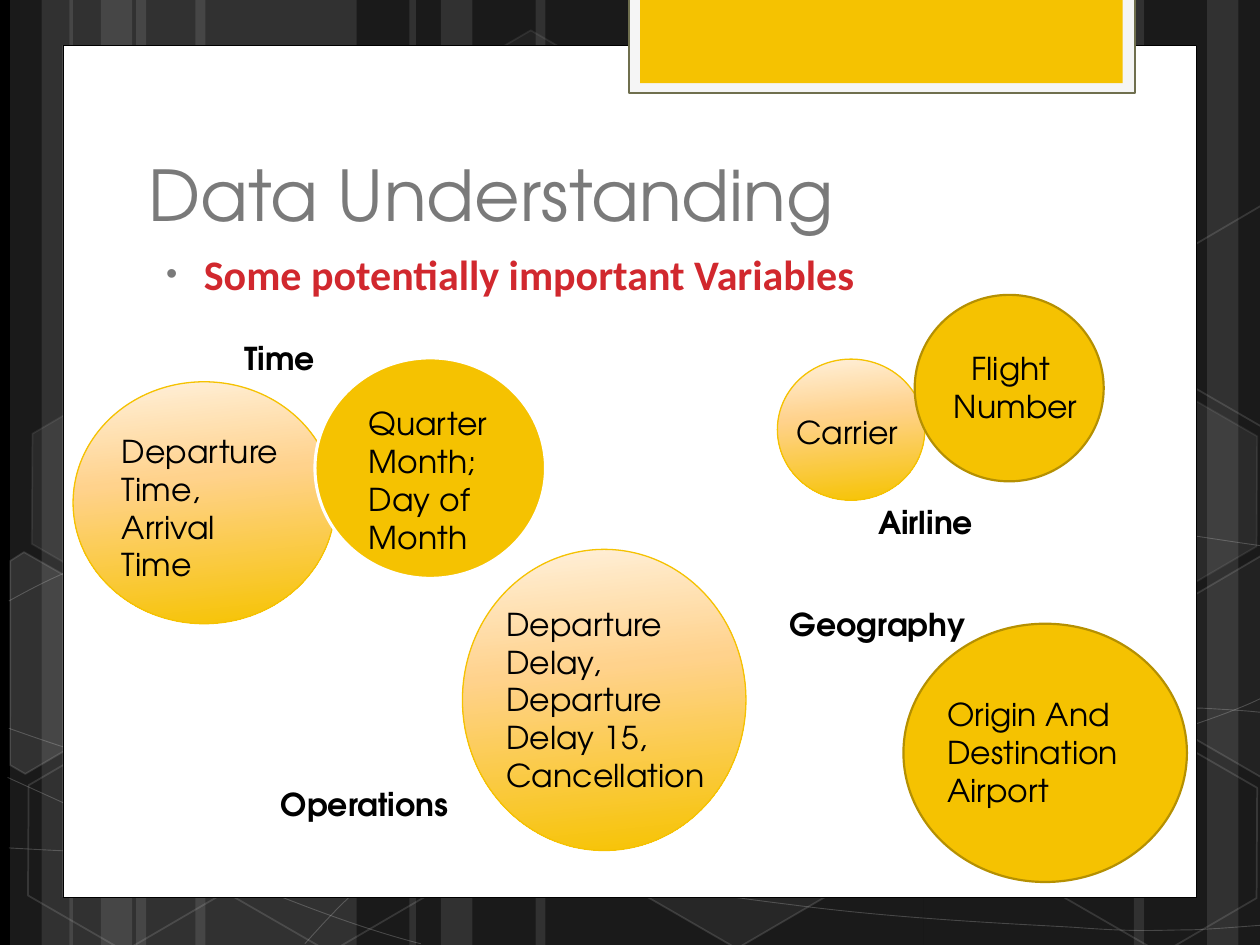
from copy import deepcopy
from math import cos, radians, sin
from lxml.etree import SubElement
from pptx import Presentation
from pptx.dml.color import RGBColor
from pptx.enum.shapes import MSO_SHAPE
from pptx.enum.text import MSO_ANCHOR
from pptx.oxml.ns import qn
from pptx.util import Inches, Pt

BLACK = RGBColor(0x00, 0x00, 0x00)
WHITE = RGBColor(0xFF, 0xFF, 0xFF)
PALE = RGBColor(0xF5, 0xF5, 0xF5)
OLIVE = RGBColor(0x6F, 0x6F, 0x4E)
GOLD = RGBColor(0xF5, 0xC2, 0x01)
BRONZE = RGBColor(0xB5, 0x90, 0x01)
GREY = RGBColor(0x7A, 0x7A, 0x7A)
RED = RGBColor(0xD1, 0x28, 0x2E)
CREAM = RGBColor(0xFF, 0xF1, 0xDC)
PEACH = RGBColor(0xFF, 0xD2, 0x8C)
AMBER = RGBColor(0xF6, 0xC3, 0x00)
FADE = [(0, CREAM), (0.4, PEACH), (1, AMBER)]

BANDS = [(1.08, 1.75), (0.08, 0.5), (0.33, 0.83), (1.55, 1.75),
         (0.55, 0.5), (0.8, 0.83), (7.33, 1.75), (9.58, 0.5),
         (9, 0.83), (4.25, 3.08), (3.25, 0.5), (3.5, 0.83)]

CURVES = [
    [(0.07, 6.73), (0.61, 6.76), (1.15, 6.79), (1.9, 6.78), (2.65, 6.77),
     (3.58, 6.75), (4.58, 6.65), (5.58, 6.55), (7, 6.36), (7.92, 6.17),
     (8.83, 5.98), (9.77, 5.68), (10.07, 5.51)],
    [(0.07, 4.77), (0.36, 4.61), (0.65, 4.46), (1.21, 4.31), (1.78, 4.16),
     (2.59, 3.94), (3.47, 3.87), (4.36, 3.8), (5.44, 3.79), (6.54, 3.87),
     (7.64, 3.95), (9.47, 4.26), (10.07, 4.34)],
    [(0.06, 6.17), (1.27, 6.72), (2.47, 7.27), (3.34, 7.49)],
    [(0.07, 5.78), (0.38, 5.89), (0.7, 6), (1.28, 6.16), (1.86, 6.31),
     (2.73, 6.56), (3.57, 6.73), (4.4, 6.9), (5.45, 7.08), (6.28, 7.18),
     (7.11, 7.29), (8, 7.33), (8.53, 7.36), (9.05, 7.4), (9.19, 7.38),
     (9.45, 7.38), (9.71, 7.37), (9.89, 7.35), (10.07, 7.34)],
    [(2.42, 7.49), (2.6, 7.29), (2.78, 7.09), (3.02, 6.91), (3.26, 6.73),
     (3.6, 6.53), (3.88, 6.39), (4.16, 6.25), (4.33, 6.19), (4.7, 6.09),
     (5.06, 5.99), (5.73, 5.85), (6.08, 5.78), (6.44, 5.71), (6.49, 5.71),
     (6.8, 5.69), (7.11, 5.66), (7.6, 5.63), (7.94, 5.62), (8.29, 5.61),
     (8.86, 5.62), (8.86, 5.62), (9.08, 5.62), (9.31, 5.62), (9.53, 5.62),
     (9.71, 5.63), (9.88, 5.64), (9.97, 5.65), (10.06, 5.66), (10.03, 5.65),
     (10.06, 5.66)],
]

HEXES = [(3.34, 0.36, 4, 8), (4.97, 5.89, 6, 12), (0.11, 5.91, 0, 12),
         (0.14, 3.12, 7, 8), (1.74, 5.92, 0, 12), (7.53, 4.53, 10, 12),
         (8.34, 5.93, 0, 12), (8.34, 3.14, 7, 8)]

CUTS = [
    ((0.36, 5.35), 10, [(0.08, 4.45), (0.19, 4.38), (0.96, 4.82),
                        (0.95, 5.7), (0.2, 6.14), (0.08, 6.07)]),
    ((9.85, 5.2), 4, [(9.26, 4.85), (10.01, 4.41), (10.09, 4.46),
                      (10.09, 6.13), (10.02, 6.17), (9.26, 5.73)]),
    ((9.85, 2.41), 0, [(9.26, 2.07), (10.01, 1.63), (10.1, 1.68),
                       (10.09, 3.35), (10.02, 3.39), (9.26, 2.95)]),
]

DISCS = [((0.58, 3.03, 2.08, 1.92), FADE, GOLD, 0.75),
         ((2.5, 2.84, 1.83, 1.75), GOLD, WHITE, 1.75),
         ((6.17, 2.85, 1.17, 1.12), FADE, GOLD, 0.75),
         ((7.26, 2.34, 1.5, 1.48), GOLD, BRONZE, 1.25),
         ((3.67, 4.36, 2.25, 2.39), FADE, GOLD, 0.75),
         ((7.17, 4.95, 2.25, 2.05), GOLD, BRONZE, 1.25)]

HEADS = [((1.84, 2.64, 1.25, 0.4), "Time"),
         ((6.87, 3.94, 1.42, 0.4), "Airline"),
         ((2.13, 6.18, 1.67, 0.4), "Operations"),
         ((6.17, 4.75, 1.8, 0.4), "Geography")]

NOTES = [((0.87, 3.38, 1.5, 1.31), "Departure Time,\nArrival Time", 0, 0),
         ((2.83, 3.16, 1.33, 1.31), "Quarter\nMonth;\nDay of Month", 0, 0),
         ((7.34, 2.72, 1.34, 0.71), "Flight Number", 0.13, 0.14),
         ((6.08, 3.23, 1.17, 0.4), "Carrier", 0, 0.14),
         ((3.92, 4.75, 1.92, 1.62),
          "Departure Delay, Departure Delay 15, Cancellation", 0, 0),
         ((7.42, 5.47, 1.75, 1.01), "Origin And Destination Airport", 0, 0)]


def turn(point, hub, angle):
    x, y = point[0] - hub[0], point[1] - hub[1]
    c, s = cos(radians(angle)), sin(radians(angle))
    return hub[0] + x * c - y * s, hub[1] + x * s + y * c


class Deck:
    font = "TeX Gyre Adventor"

    def __init__(self):
        self.file = Presentation()
        self.file.slide_width = Inches(10)
        self.file.slide_height = Inches(7.5)
        self.slide = self.file.slides.add_slide(self.file.slide_layouts[6])
        fill = self.slide.background.fill
        fill.solid()
        fill.fore_color.rgb = BLACK

    def tint(self, shape, fill, color, alpha, route):
        if color is None or alpha == 0:
            fill.background()
            return
        fill.solid()
        fill.fore_color.rgb = color
        if alpha < 100:
            tag = shape._element.spPr.find(route + qn("a:solidFill") + "/" + qn("a:srgbClr"))
            SubElement(tag, qn("a:alpha")).set("val", str(alpha * 1000))

    def paint(self, shape, color, alpha=100, edge=None, width=1, clear=100):
        shape.shadow.inherit = False
        self.tint(shape, shape.fill, color, alpha, "")
        self.tint(shape, shape.line.fill, edge, clear, qn("a:ln") + "/")
        if edge is not None:
            shape.line.width = Pt(width)

    def shape(self, kind, box, color, **look):
        item = self.slide.shapes.add_shape(kind, *map(Inches, box))
        self.paint(item, color, **look)
        return item

    def hexagon(self, left, top, alpha, clear):
        item = self.shape(MSO_SHAPE.HEXAGON, (left, top, 1.75, 1.52), WHITE,
                          alpha=alpha, edge=WHITE, clear=clear)
        item.adjustments[0] = 0.285
        item.rotation = 30

    def outline(self, points, closed, **look):
        spots = [(Inches(x), Inches(y)) for x, y in points]
        maker = self.slide.shapes.build_freeform(*spots[0])
        maker.add_line_segments(spots[1:], close=closed)
        item = maker.convert_to_shape()
        self.paint(item, WHITE, edge=WHITE, **look)
        return item

    def curve(self, knots):
        item = self.outline(knots, False, alpha=0, width=0.5, clear=20)
        trace = item._element.spPr.find(".//" + qn("a:path"))
        lines = trace.findall(qn("a:lnTo"))
        for i in range(0, len(lines), 3):
            bend = SubElement(trace, qn("a:cubicBezTo"))
            for line in lines[i:i + 3]:
                bend.append(line[0])
                trace.remove(line)

    def cut(self, hub, alpha, points):
        flat = [turn(point, hub, -30) for point in points]
        self.outline(flat, True, alpha=alpha, clear=12).rotation = 30

    def disc(self, box, color, edge, width):
        plain = color is not FADE
        item = self.shape(MSO_SHAPE.OVAL, box, color if plain else GOLD,
                          edge=edge, width=width)
        if plain:
            return
        item.fill.gradient()
        item.fill.gradient_angle = 276
        stops = item._element.spPr.find(".//" + qn("a:gsLst"))
        stops.insert(1, deepcopy(stops[0]))
        for stop, (place, shade) in zip(item.fill.gradient_stops, FADE):
            stop.position = place
            stop.color.rgb = shade

    def text(self, box, words, left=0, first=0, size=18, color=BLACK,
             bold=False, font=None, anchor=MSO_ANCHOR.TOP):
        frame = self.slide.shapes.add_textbox(*map(Inches, box)).text_frame
        frame.word_wrap = True
        frame.vertical_anchor = anchor
        frame.text = words
        for para in frame.paragraphs:
            props = para._p.get_or_add_pPr()
            props.set("marL", str(Inches(left)))
            props.set("indent", str(Inches(first)))
            for run in para.runs:
                run.font.name = font or self.font
                run.font.size = Pt(size)
                run.font.bold = bold
                run.font.color.rgb = color
        return frame

    def bullet(self, box, words, **look):
        frame = self.text(box, words, left=0.38, first=-0.3, **look)
        props = frame.paragraphs[0]._p.get_or_add_pPr()
        tone = SubElement(props, qn("a:buClr"))
        SubElement(tone, qn("a:srgbClr")).set("val", str(GREY))
        SubElement(props, qn("a:buSzPct")).set("val", "76000")
        SubElement(props, qn("a:buFont")).set("typeface", "Arial")
        SubElement(props, qn("a:buChar")).set("char", "•")


def main():
    deck = Deck()
    for left, width in BANDS:
        deck.shape(MSO_SHAPE.RECTANGLE, (left, 0, width, 7.5), WHITE, alpha=10)
    for knots in CURVES:
        deck.curve(knots)
    for spot in HEXES:
        deck.hexagon(*spot)
    for cut in CUTS:
        deck.cut(*cut)
    deck.shape(MSO_SHAPE.RECTANGLE, (0.5, 0.36, 9, 6.76), WHITE, edge=BLACK, width=0.5)
    deck.shape(MSO_SHAPE.RECTANGLE, (4.99, -0.02, 4.02, 0.76), PALE, edge=OLIVE, width=1.25)
    deck.shape(MSO_SHAPE.RECTANGLE, (5.08, -0.02, 3.83, 0.68), GOLD)
    deck.text((1.08, 0.67, 7.68, 1.25), "Data Understanding", size=40,
              color=GREY, anchor=MSO_ANCHOR.BOTTOM)
    deck.bullet((1.14, 1.92, 7.53, 4.46), "Some potentially important Variables",
                size=24, color=RED, bold=True, font="Calibri")
    for disc in DISCS:
        deck.disc(*disc)
    for box, words in HEADS:
        deck.text(box, words, bold=True)
    for note in NOTES:
        deck.text(*note)
    deck.file.save("out.pptx")


if __name__ == "__main__":
    main()
